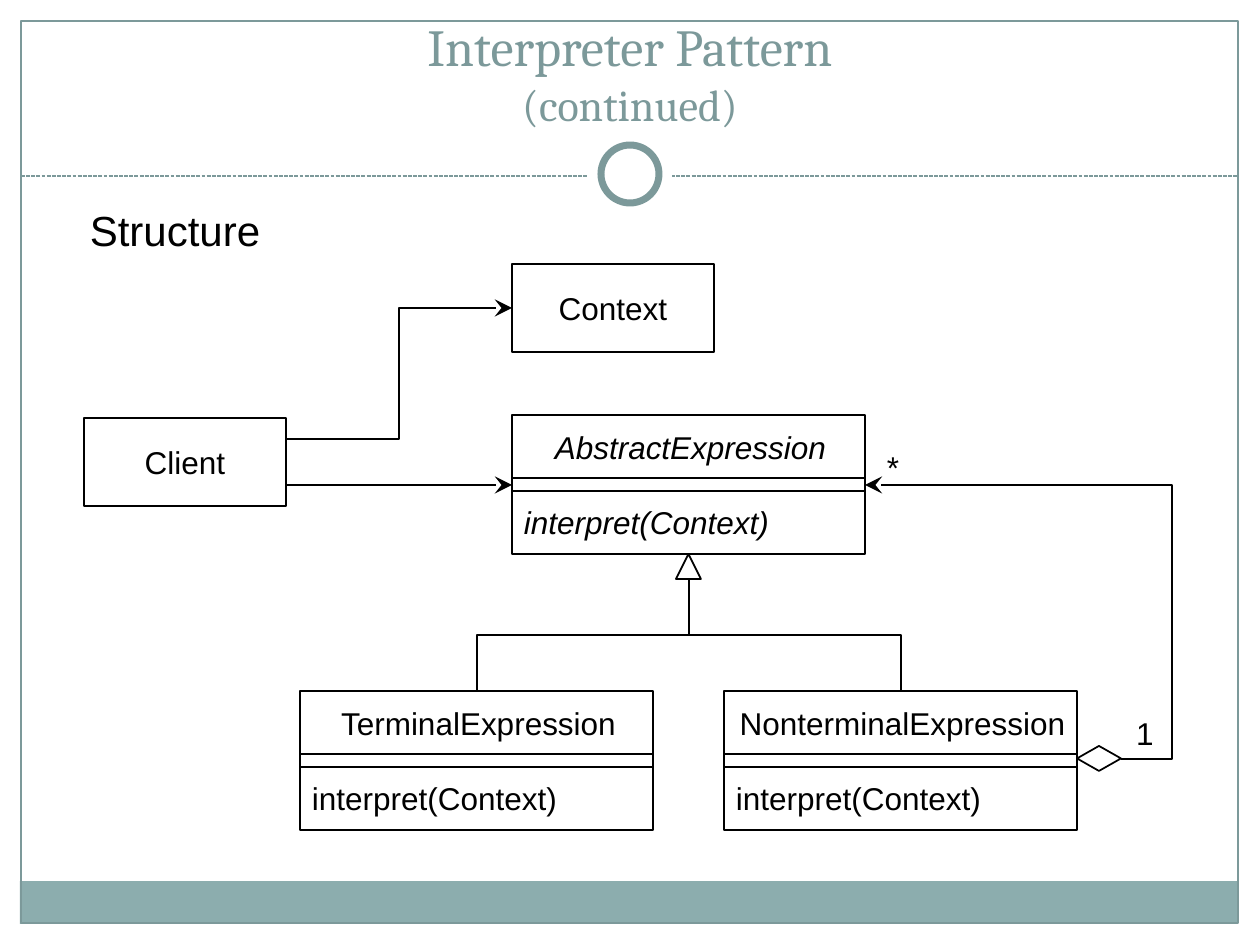
from lxml import etree
from pptx import Presentation
from pptx.dml.color import RGBColor
from pptx.enum.dml import MSO_LINE
from pptx.enum.shapes import MSO_CONNECTOR, MSO_SHAPE
from pptx.enum.text import MSO_ANCHOR, PP_ALIGN
from pptx.oxml.ns import qn
from pptx.util import Emu, Pt

PIXEL = 914400 / 126
BLACK = RGBColor(0x00, 0x00, 0x00)
WHITE = RGBColor(0xFF, 0xFF, 0xFF)
TEAL = RGBColor(0x7C, 0x99, 0x9A)
LIGHT_TEAL = RGBColor(0x8C, 0xAD, 0xAE)
RECTANGLE, OVAL = MSO_SHAPE.RECTANGLE, MSO_SHAPE.OVAL
TRIANGLE, DIAMOND = MSO_SHAPE.ISOSCELES_TRIANGLE, MSO_SHAPE.FLOWCHART_DECISION
STRAIGHT, ELBOW = MSO_CONNECTOR.STRAIGHT, MSO_CONNECTOR.ELBOW
DASH = MSO_LINE.SQUARE_DOT
LEFT, CENTER = PP_ALIGN.LEFT, PP_ALIGN.CENTER
MIDDLE, BOTTOM, TOP = MSO_ANCHOR.MIDDLE, MSO_ANCHOR.BOTTOM, MSO_ANCHOR.TOP
CLASS_WIDTH, CLASS_HEIGHT = 353, 139


def px(*values):
    """Turn pixels into EMU."""
    return [Emu(round(value * PIXEL)) for value in values]


def add_run(paragraph, text, size=18, font="Arial", color=BLACK, italic=False):
    """Append one formatted run."""
    run = paragraph.add_run()
    run.text = text
    run.font.size = Pt(size)
    run.font.name = font
    run.font.color.rgb = color
    run.font.italic = italic


def prepare_frame(shape, anchor, wrap=True):
    """Set anchor and margins, and return the text frame."""
    frame = shape.text_frame
    frame.word_wrap = wrap
    frame.vertical_anchor = anchor
    frame.margin_left, frame.margin_right = px(12, 8)
    frame.margin_top = frame.margin_bottom = px(6)[0]
    return frame


def add_box(slide, kind, box, fill=None, line=BLACK, width=1):
    """Add a preset shape; None leaves out its fill or line."""
    shape = slide.shapes.add_shape(kind, *px(*box))
    shape.shadow.inherit = False
    if fill is None:
        shape.fill.background()
    else:
        shape.fill.solid()
        shape.fill.fore_color.rgb = fill
    if line is None:
        shape.line.fill.background()
    else:
        shape.line.color.rgb = line
        shape.line.width = Pt(width)
    return shape


def add_label(slide, box, text, size=18, anchor=MIDDLE):
    """Add a centred text box."""
    frame = prepare_frame(slide.shapes.add_textbox(*px(*box)), anchor, wrap=False)
    frame.margin_right = frame.margin_left
    frame.paragraphs[0].alignment = CENTER
    add_run(frame.paragraphs[0], text, size)


def add_line(slide, start, end, kind=STRAIGHT, color=BLACK, width=1, arrow=False, bend=None):
    """Add a connector, with an optional arrowhead and bend position."""
    connector = slide.shapes.add_connector(kind, *px(*start, *end))
    connector.line.color.rgb = color
    connector.line.width = Pt(width)
    properties = connector._element.spPr
    if arrow:
        etree.SubElement(connector.line._get_or_add_ln(), qn("a:tailEnd"),
                         type="stealth", w="lg", len="lg")
    etree.SubElement(properties, qn("a:effectLst"))
    if bend is not None:
        guides = properties.find(qn("a:prstGeom")).get_or_add_avLst()
        etree.SubElement(guides, qn("a:gd"), name="adj1", fmla=f"val {round(bend * 100000)}")
    return connector


def add_vertical_elbow(slide, start, end):
    """Add an elbow that leaves downwards, as a turned connector."""
    center_x, center_y = (start[0] + end[0]) / 2, (start[1] + end[1]) / 2
    sign = 1 if end[0] > start[0] else -1
    across, along = abs(end[0] - start[0]) / 2, sign * (end[1] - start[1]) / 2
    connector = add_line(slide, (center_x + along, center_y - across),
                         (center_x - along, center_y + across), ELBOW)
    angle = 270 if sign > 0 else 90
    connector._element.spPr.find(qn("a:xfrm")).set("rot", str(angle * 60000))


def add_simple_class(slide, left, top, name):
    """Add a class box that holds only a name."""
    frame = prepare_frame(add_box(slide, RECTANGLE, (left, top, 202, 88)), MIDDLE)
    frame.margin_right = frame.margin_left
    frame.paragraphs[0].alignment = CENTER
    add_run(frame.paragraphs[0], name)


def add_class(slide, left, top, name, italic=False):
    """Add a class box with name, empty attribute part and method."""
    shape = add_box(slide, RECTANGLE, (left, top, CLASS_WIDTH, CLASS_HEIGHT))
    frame = prepare_frame(shape, MIDDLE)
    title = frame.paragraphs[0]
    title.alignment = CENTER
    add_run(title, name, italic=italic)
    method = frame.add_paragraph()
    method.alignment = LEFT
    method.space_before = Pt(21)
    add_run(method, "interpret(Context)", italic=italic)
    for offset in (63, 76):
        add_line(slide, (left, top + offset), (left + CLASS_WIDTH, top + offset))


def add_frame_and_title(slide):
    """Add the border, bar, ring and heading."""
    add_box(slide, RECTANGLE, (20, 881, 1218, 43), LIGHT_TEAL, None)
    add_box(slide, RECTANGLE, (21, 21, 1217, 902), None, TEAL, 0.75)
    divider = add_line(slide, (21, 176), (1238, 176), color=TEAL, width=0.75)
    divider.line.dash_style = DASH
    add_box(slide, OVAL, (588, 132, 84, 84), WHITE, None)
    add_box(slide, OVAL, (601, 145, 58, 58), WHITE, TEAL, 4)
    frame = prepare_frame(slide.shapes.add_textbox(*px(42, 31, 1176, 105)), BOTTOM)
    frame.margin_right = frame.margin_left
    paragraph = frame.paragraphs[0]
    paragraph.alignment = CENTER
    add_run(paragraph, "Interpreter Pattern", 29.7, "Cambria", TEAL)
    paragraph.add_line_break()
    add_run(paragraph, "(continued)", 25.2, "Cambria", TEAL)


def add_diagram(slide):
    """Add the classes and their relations."""
    add_label(slide, (76, 199, 198, 63), "Structure", 24, TOP)
    add_simple_class(slide, 512, 264, "Context")
    add_simple_class(slide, 84, 418, "Client")
    add_class(slide, 512, 415, "AbstractExpression", italic=True)
    add_class(slide, 300, 691, "TerminalExpression")
    add_class(slide, 724, 691, "NonterminalExpression")
    add_box(slide, TRIANGLE, (676, 554, 25, 25))
    for child_center in (477, 901):
        add_vertical_elbow(slide, (689, 579), (child_center, 691))
    add_line(slide, (286, 485), (512, 485), arrow=True)
    add_line(slide, (286, 439), (512, 308), ELBOW, arrow=True, bend=0.5)
    add_box(slide, DIAMOND, (1077, 746, 44, 25))
    add_line(slide, (1121, 759), (865, 485), ELBOW, arrow=True, bend=-0.2)
    add_label(slide, (874, 442, 38, 50), "*")
    add_label(slide, (1124, 708, 42, 50), "1")


def main():
    """Build and save the slide."""
    presentation = Presentation()
    presentation.slide_width, presentation.slide_height = px(1260, 945)
    slide = presentation.slides.add_slide(presentation.slide_layouts[6])
    add_frame_and_title(slide)
    add_diagram(slide)
    presentation.save("out.pptx")


main()
